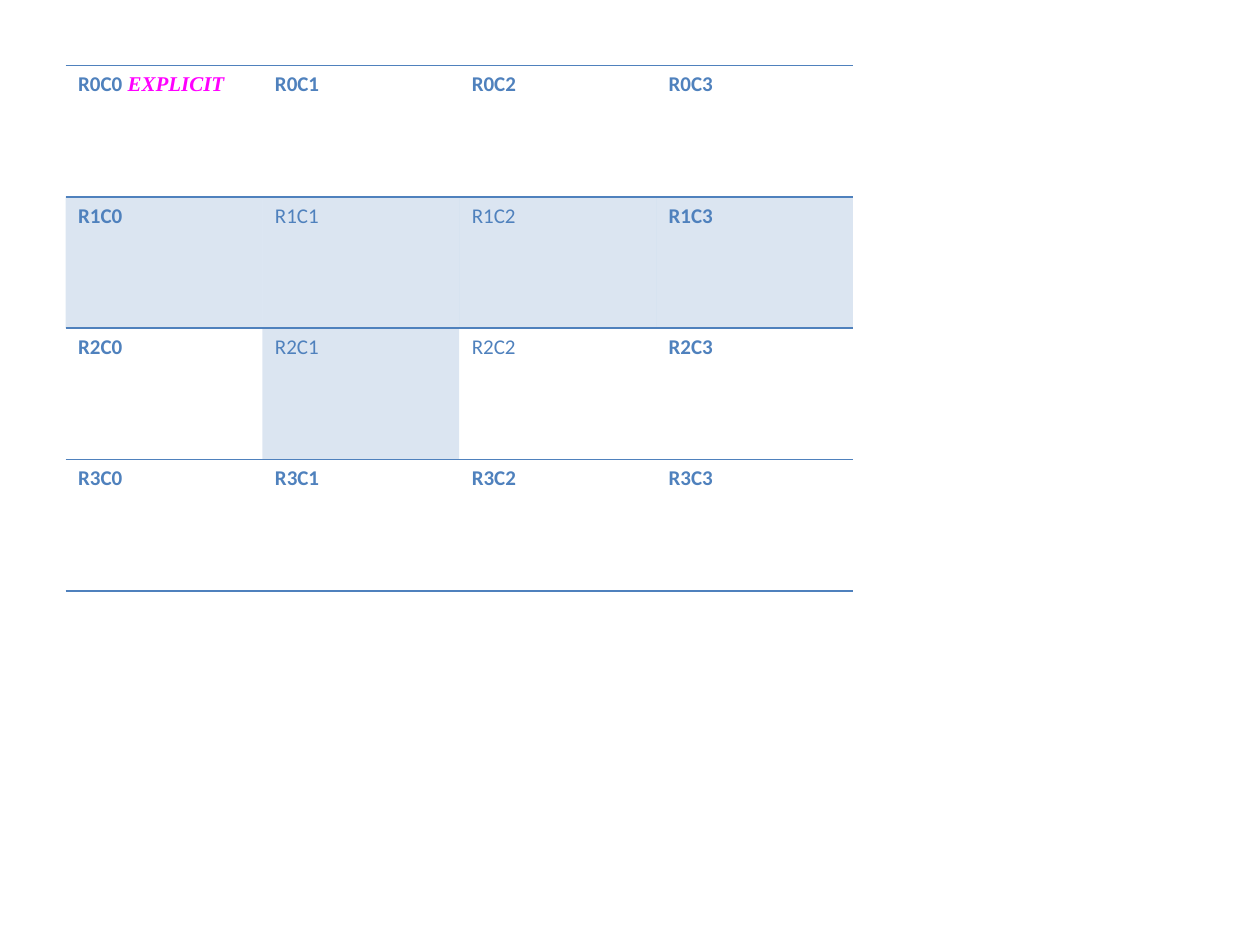
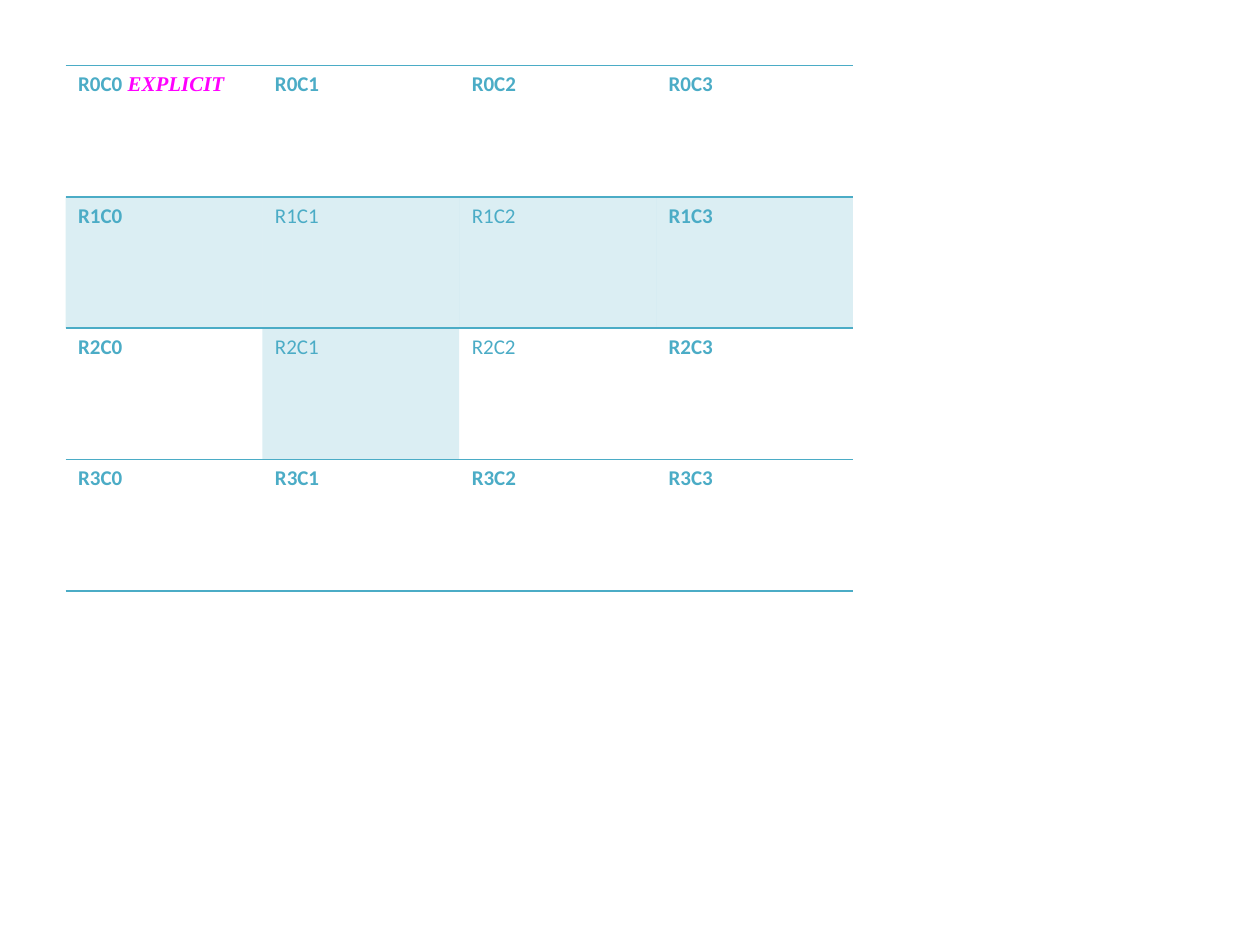
from lxml import etree
from pptx import Presentation
from pptx.dml.color import RGBColor
from pptx.oxml.ns import qn
from pptx.util import Inches, Pt

BLUE = RGBColor(0x4F, 0x81, 0xBD)
AQUA = RGBColor(0x4B, 0xAC, 0xC6)
MAGENTA = RGBColor(0xFF, 0x00, 0xFF)
BODY_FONT = "Calibri"
EXPLICIT_FONT = "Times New Roman"
TEXT_SIZE = Pt(12)
RULE_WIDTH = Pt(1)
BAND_OPACITY = 20
NO_STYLE = "{2D5ABB26-0587-4C30-8999-92F81FD0307C}"
BLANK_LAYOUT = 6

SIZE = 4
LAST = SIZE - 1
RULED_EDGES = {0, 1, LAST, SIZE}  # counted from the top of the table
BANDED_CELLS = {(1, col) for col in range(SIZE)} | {(2, 1)}


class TableDeck:
    def __init__(self):
        self.prs = Presentation()
        self.prs.slide_width = Inches(10)
        self.prs.slide_height = Inches(7.5)

    def new_slide(self, accent):
        self.accent = accent
        self.s = self.prs.slides.add_slide(self.prs.slide_layouts[BLANK_LAYOUT])

    def table(self):
        frame = self.s.shapes.add_table(SIZE, SIZE, Inches(0.52), Inches(0.52),
                                        Inches(6.25), Inches(4.17))
        table = frame.table
        table.last_row = table.first_col = table.last_col = True
        table._tbl.tblPr.find(qn("a:tableStyleId")).text = NO_STYLE
        for row in range(SIZE):
            for col in range(SIZE):
                cell = table.cell(row, col)
                p = cell.text_frame.paragraphs[0]
                outer = row in (0, LAST) or col in (0, LAST)
                self.run(p, f"R{row}C{col}", BODY_FONT, self.accent, bold=outer)
                self.fill(cell, (row, col) in BANDED_CELLS)
                self.rules(cell, row)
        p = table.cell(0, 0).text_frame.paragraphs[0]
        self.run(p, " EXPLICIT", EXPLICIT_FONT, MAGENTA, bold=True, italic=True)

    def run(self, p, text, font, color, bold, italic=False):
        r = p.add_run()
        r.text = text
        r.font.name = font
        r.font.size = TEXT_SIZE
        r.font.bold = bold
        r.font.italic = italic
        r.font.color.rgb = color

    def fill(self, cell, banded):
        if not banded:
            cell.fill.background()
            return
        cell.fill.solid()
        cell.fill.fore_color.rgb = self.accent
        color = cell._tc.tcPr.find(".//" + qn("a:srgbClr"))
        etree.SubElement(color, qn("a:alpha"), val=str(BAND_OPACITY * 1000))

    def rules(self, cell, row):
        """Draw the horizontal rules above and below a cell."""
        borders = (("a:lnT", row), ("a:lnB", row + 1))
        ruled = [tag for tag, edge in borders if edge in RULED_EDGES]
        for position, tag in enumerate(ruled):
            ln = etree.Element(qn(tag), w=str(RULE_WIDTH))
            solid = etree.SubElement(ln, qn("a:solidFill"))
            etree.SubElement(solid, qn("a:srgbClr"), val=str(self.accent))
            cell._tc.tcPr.insert(position, ln)


def main():
    deck = TableDeck()
    for accent in (BLUE, AQUA):
        deck.new_slide(accent)
        deck.table()
    deck.prs.save("out.pptx")


if __name__ == "__main__":
    main()
